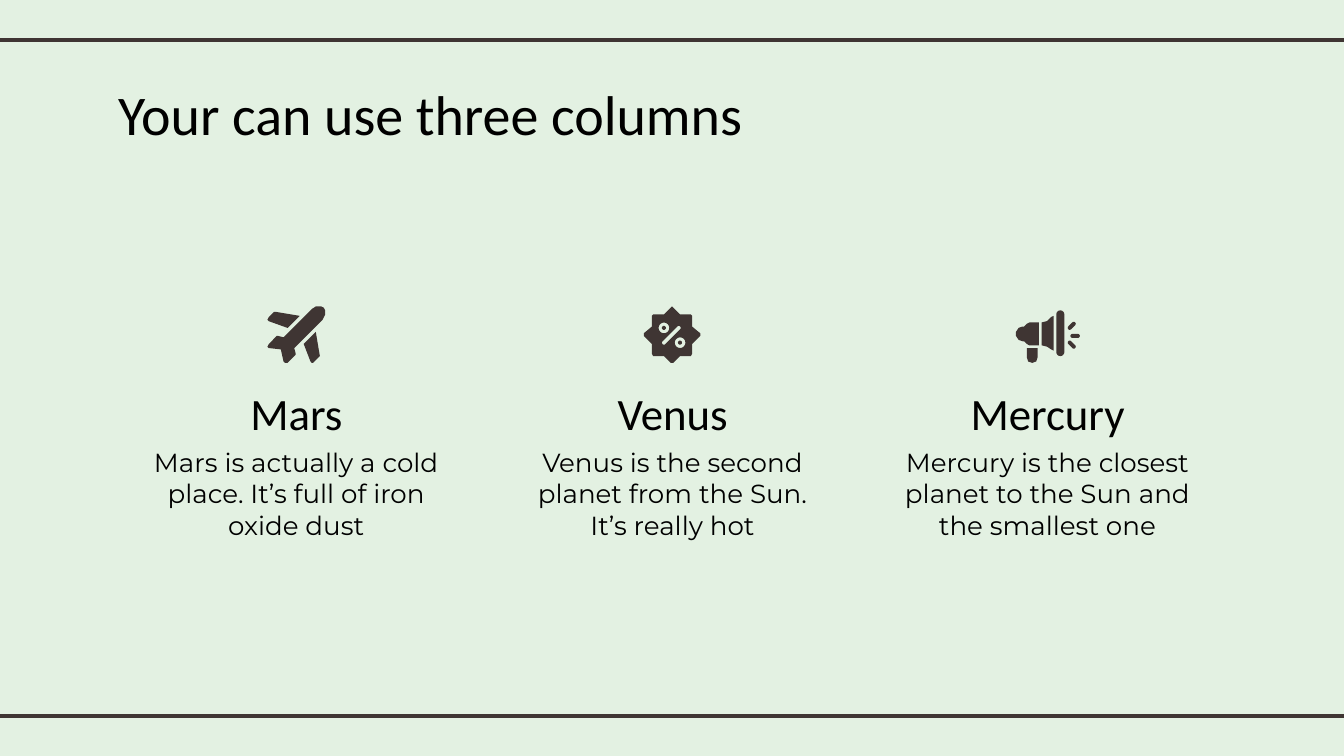
from math import atan2, cos, pi, sin

from lxml.etree import SubElement
from pptx import Presentation
from pptx.dml.color import RGBColor
from pptx.enum.shapes import MSO_CONNECTOR
from pptx.enum.text import MSO_ANCHOR, PP_ALIGN
from pptx.oxml.ns import qn
from pptx.util import Inches, Pt


def color(hex_code):
    return RGBColor.from_string(hex_code)


def capsule(x1, y1, x2, y2, radius, steps=8):
    """Outline of a round-ended bar; equal ends give a circle."""
    angle = atan2(y2 - y1, x2 - x1)
    outline = []
    for x, y, start in ((x2, y2, angle - pi / 2), (x1, y1, angle + pi / 2)):
        for step in range(steps + 1):
            turn = start + pi * step / steps
            outline.append((x + radius * cos(turn), y + radius * sin(turn)))
    return outline


def disc(x, y, radius):
    return capsule(x, y, x, y, radius)


class SlideMaker:
    ink = "3F3533"
    paper = "E3F1E2"
    text_color = "000000"
    heading_font = "Calibri"
    body_font = "Montserrat"

    def __init__(self, slide):
        self.slide = slide
        slide.background.fill.solid()
        slide.background.fill.fore_color.rgb = color(self.paper)

    def rule(self, y):
        line = self.slide.shapes.add_connector(
            MSO_CONNECTOR.STRAIGHT, Inches(-0.08), Inches(y), Inches(10.08), Inches(y))
        line.line.color.rgb = color(self.ink)
        line.line.width = Pt(2.25)
        SubElement(line._element.spPr, qn("a:effectLst"))

    def text(self, wording, left, top, width, height, size, font, align=PP_ALIGN.CENTER):
        box = self.slide.shapes.add_textbox(
            Inches(left), Inches(top), Inches(width), Inches(height))
        frame = box.text_frame
        frame.word_wrap = True
        frame.vertical_anchor = MSO_ANCHOR.TOP
        frame.margin_left = frame.margin_right = Inches(0.1)
        frame.margin_top = frame.margin_bottom = Inches(0.1)
        paragraph = frame.paragraphs[0]
        paragraph.alignment = align
        run = paragraph.add_run()
        run.text = wording
        run.font.size = Pt(size)
        run.font.name = font
        run.font.color.rgb = color(self.text_color)

    def outline(self, contours):
        """One filled shape; contours after the first cut holes."""
        builder = None
        for contour in contours:
            points = [(Inches(x), Inches(y)) for x, y in contour]
            if builder is None:
                builder = self.slide.shapes.build_freeform(*points[0])
            else:
                builder.move_to(*points[0])
            builder.add_line_segments(points[1:], close=True)
        shape = builder.convert_to_shape()
        shape.shadow.inherit = False
        shape.fill.solid()
        shape.fill.fore_color.rgb = color(self.ink)
        shape.line.fill.background()
        return shape

    def icon(self, parts):
        self.slide.shapes.add_group_shape([self.outline(part) for part in parts])


# Icon outlines: each part is a list of contours
STROKE_RADIUS = 0.03 / 2

PLANE = [
    [[(2.37, 2.28), (2.35, 2.28), (2.32, 2.3), (2.11, 2.51), (2.07, 2.5), (2.06, 2.5),
      (2, 2.56), (1.99, 2.58), (2, 2.59), (2.09, 2.6), (2.11, 2.69), (2.12, 2.7),
      (2.14, 2.7), (2.2, 2.64), (2.2, 2.63), (2.19, 2.59), (2.4, 2.38), (2.42, 2.34),
      (2.42, 2.31), (2.41, 2.29), (2.39, 2.28)]],
    [[(2.05, 2.32), (2.04, 2.32), (2, 2.36), (1.99, 2.38), (2, 2.39), (2.14, 2.44),
      (2.23, 2.35)]],
    [[(2.35, 2.47), (2.26, 2.56), (2.31, 2.69), (2.32, 2.7), (2.33, 2.7), (2.37, 2.66),
      (2.38, 2.65)]],
]

PERCENT_RINGS = [(4.94, 2.44), (5.06, 2.55)]
BADGE = [[disc(x, y, STROKE_RADIUS)] for x, y in reversed(PERCENT_RINGS)] + [
    [[(5, 2.28), (4.99, 2.29), (4.94, 2.34), (4.86, 2.34), (4.85, 2.35), (4.85, 2.43),
      (4.79, 2.48), (4.79, 2.5), (4.85, 2.56), (4.85, 2.63), (4.86, 2.65), (4.94, 2.65),
      (4.99, 2.7), (5.01, 2.7), (5.06, 2.65), (5.14, 2.65), (5.15, 2.63), (5.15, 2.56),
      (5.21, 2.5), (5.21, 2.48), (5.15, 2.43), (5.15, 2.35), (5.14, 2.34), (5.06, 2.34),
      (5.01, 2.29)],
     capsule(4.94, 2.55, 5.05, 2.44, STROKE_RADIUS)]
    + [disc(x, y, 0.04) for x, y in PERCENT_RINGS],
]

MEGAPHONE = [
    [capsule(7.98, 2.5, 8.02, 2.5, STROKE_RADIUS)],
    [capsule(7.96, 2.55, 7.99, 2.58, STROKE_RADIUS)],
    [capsule(7.96, 2.44, 7.99, 2.41, STROKE_RADIUS)],
    [[(7.73, 2.4), (7.66, 2.4), (7.64, 2.41), (7.62, 2.43), (7.61, 2.43), (7.58, 2.44),
      (7.56, 2.47), (7.56, 2.5), (7.58, 2.53), (7.61, 2.54), (7.62, 2.54), (7.64, 2.56),
      (7.66, 2.57), (7.73, 2.57)]],
    [capsule(7.89, 2.34, 7.89, 2.62, 0.03)],
    [[(7.64, 2.59), (7.64, 2.66), (7.65, 2.69), (7.68, 2.7), (7.71, 2.69), (7.72, 2.66),
      (7.72, 2.59)]],
    [[(7.84, 2.35), (7.82, 2.36), (7.79, 2.39), (7.75, 2.4), (7.75, 2.57), (7.79, 2.58),
      (7.82, 2.6), (7.84, 2.61)]],
]

# Left edge, planet, description, icon
COLUMNS = [
    (1.04, "Mars", "Mars is actually a cold place. It’s full of iron oxide dust", PLANE),
    (3.84, "Venus", "Venus is the second planet from the Sun. It’s really hot", BADGE),
    (6.63, "Mercury", "Mercury is the closest planet to the Sun and the smallest one",
     MEGAPHONE),
]


def main():
    # Widescreen 16:9 deck
    deck = Presentation()
    deck.slide_width = Inches(10)
    deck.slide_height = deck.slide_width * 9 // 16
    maker = SlideMaker(deck.slides.add_slide(deck.slide_layouts[6]))

    # Frame rules
    for y in (0.3, 5.33):
        maker.rule(y)

    # Title
    maker.text("Your can use three columns", 0.78, 0.49, 7.28, 0.63, 30,
               maker.heading_font, PP_ALIGN.LEFT)

    # Planet columns
    for left, planet, description, icon in COLUMNS:
        maker.text(planet, left, 2.77, 2.33, 0.49, 24, maker.heading_font)
        maker.text(description, left, 3.22, 2.33, 0.89, 14, maker.body_font)
        maker.icon(icon)

    deck.save("out.pptx")


if __name__ == "__main__":
    main()
